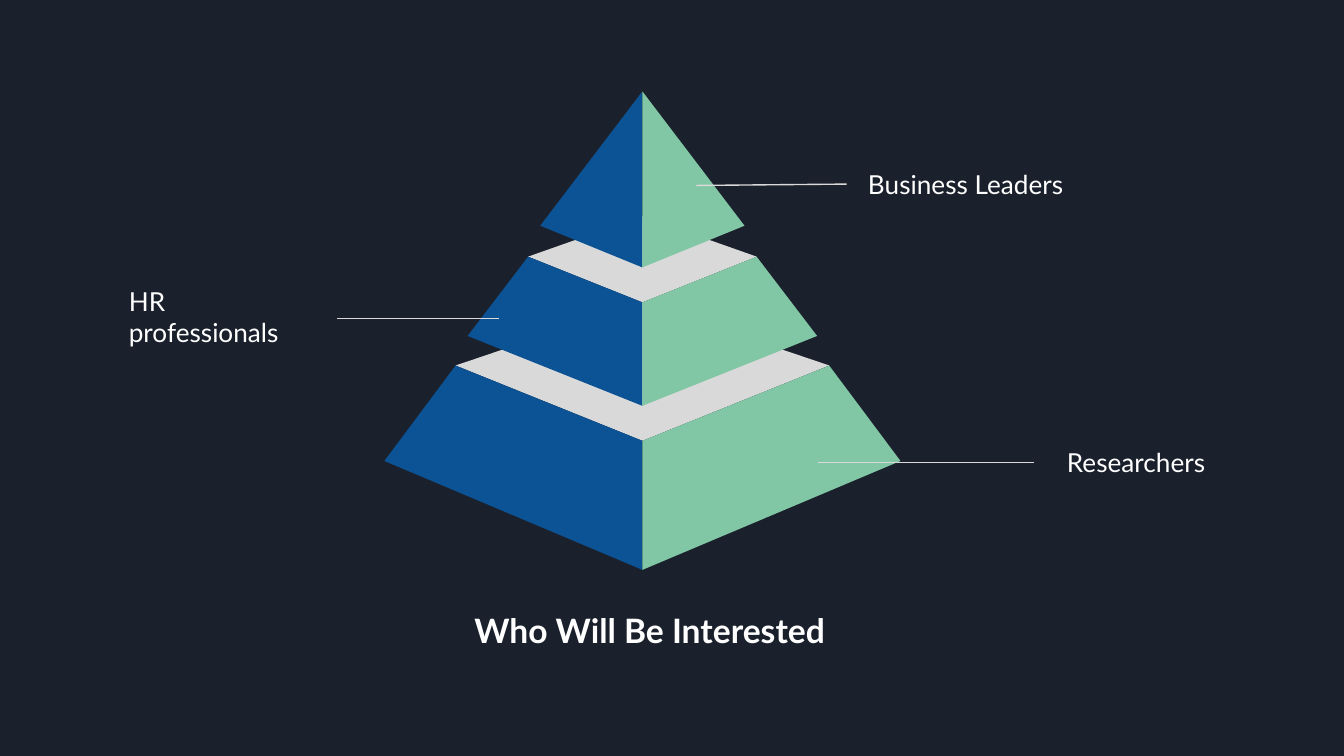
from lxml import etree
from pptx import Presentation
from pptx.dml.color import RGBColor
from pptx.enum.shapes import MSO_CONNECTOR
from pptx.enum.text import MSO_ANCHOR, PP_ALIGN
from pptx.oxml.ns import qn
from pptx.util import Inches, Pt

STRAIGHT = MSO_CONNECTOR.STRAIGHT
TOP = MSO_ANCHOR.TOP
LEFT = PP_ALIGN.LEFT

FONT = "Lato"
BACKGROUND, WHITE, GREY = "1B212C", "FFFFFF", "D9D9D9"
BLUE, GREEN = "0B5394", "82C7A5"

# Pyramid grid: 384 columns by 356 rows, drawn from the bottom tier up.
# Each edge is (half width, row of the side corners, row of the front corner).
COLUMNS, ROWS = 384, 356
TIERS = [
    {"back": 157, "upper": (139, 204, 260), "lower": (192, 275, 356)},
    {"back": 93, "upper": (85, 123, 157), "lower": (130, 182, 234)},
    {"back": 0, "upper": (0, 0, 0), "lower": (76, 100, 131)},
]

# Label, text box, line start, line end
CALLOUTS = [
    ("Business Leaders", (6.36, 1.15, 1.98, 0.44), (5.18, 1.38), (6.3, 1.37)),
    ("HR professionals", (0.86, 2.02, 1.51, 0.67), (3.71, 2.37), (2.51, 2.37)),
    ("Researchers", (7.84, 3.22, 1.45, 0.44), (6.09, 3.44), (7.69, 3.44)),
]


def color(hex_string):
    return RGBColor.from_string(hex_string)


def inches(values):
    return [Inches(value) for value in values]


def write_text(shape, text, size, bold=False):
    frame = shape.text_frame
    frame.text = text
    frame.word_wrap = True
    frame.vertical_anchor = TOP
    frame.margin_left = frame.margin_right = Inches(0.1)
    frame.margin_top = frame.margin_bottom = Inches(0.1)
    paragraph = frame.paragraphs[0]
    paragraph.alignment = LEFT
    font = paragraph.runs[0].font
    font.name, font.size, font.bold = FONT, Pt(size), bold
    font.color.rgb = color(WHITE)


def add_face(slide, points, fill):
    builder = slide.shapes.build_freeform(*points[0])
    builder.add_line_segments(points[1:], close=True)
    face = builder.convert_to_shape()
    face.shadow.inherit = False
    face.fill.solid()
    face.fill.fore_color.rgb = color(fill)
    face.line.fill.background()


def add_pyramid(slide, box):
    left, top, width, height = inches(box)

    def place(column, row):
        return (left + width * (0.5 + column / COLUMNS),
                top + height * row / ROWS)

    for tier in TIERS:
        upper_half, upper_side, upper_front = tier["upper"]
        lower_half, lower_side, lower_front = tier["lower"]
        # Top surface, absent on the pointed tier
        if upper_half:
            add_face(slide, [place(-upper_half, upper_side),
                             place(0, upper_front),
                             place(upper_half, upper_side),
                             place(0, tier["back"])], GREY)
        # Left and right sides mirror each other
        for direction, fill in ((-1, BLUE), (1, GREEN)):
            corners = [place(direction * upper_half, upper_side),
                       place(direction * lower_half, lower_side),
                       place(0, lower_front),
                       place(0, upper_front)]
            add_face(slide, list(dict.fromkeys(corners)), fill)


def add_callout(slide, label, box, start, end):
    line = slide.shapes.add_connector(STRAIGHT, *inches(start + end))
    line.line.color.rgb = color(GREY)
    line.line.width = Pt(0.75)
    etree.SubElement(line._element.spPr, qn("a:effectLst"))
    write_text(slide.shapes.add_textbox(*inches(box)), label, 14)


def add_title(slide, text, box):
    title = slide.shapes.title
    title.left, title.top, title.width, title.height = inches(box)
    write_text(title, text, 18, bold=True)


# Widescreen slide, 16 by 9
presentation = Presentation()
presentation.slide_width = Inches(10)
presentation.slide_height = presentation.slide_width * 9 // 16
title_only = presentation.slide_layouts[5]
slide = presentation.slides.add_slide(title_only)
slide.background.fill.solid()
slide.background.fill.fore_color.rgb = color(BACKGROUND)

add_pyramid(slide, (2.86, 0.68, 3.84, 3.56))
for callout in CALLOUTS:
    add_callout(slide, *callout)
add_title(slide, "Who Will Be Interested", (3.43, 4.44, 4.63, 0.5))

presentation.save("out.pptx")
